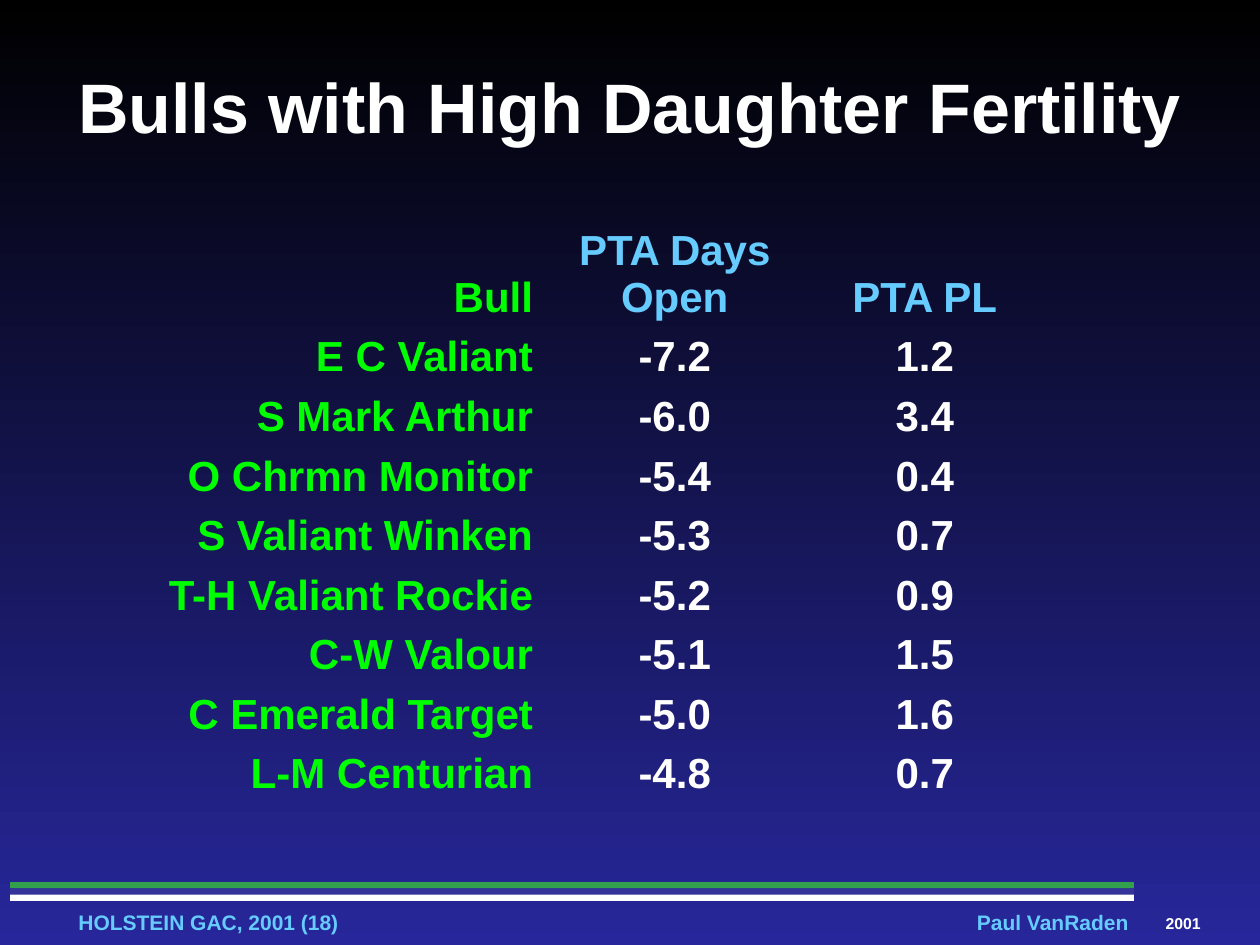
from dataclasses import dataclass

from pptx import Presentation
from pptx.dml.color import RGBColor
from pptx.enum.shapes import MSO_SHAPE
from pptx.enum.text import MSO_ANCHOR, PP_ALIGN
from pptx.util import Inches, Pt

RECTANGLE = MSO_SHAPE.RECTANGLE
MIDDLE, BOTTOM = MSO_ANCHOR.MIDDLE, MSO_ANCHOR.BOTTOM
CENTER, RIGHT = PP_ALIGN.CENTER, PP_ALIGN.RIGHT
PLAIN_TABLE_STYLE = "{2D5ABB26-0587-4C30-8999-92F81FD0307C}"


@dataclass(frozen=True)
class Theme:
    font: str = "Arial"
    sky_top: str = "000000"
    sky_bottom: str = "27279B"
    text: str = "FFFFFF"
    heading: str = "66CCFF"
    bull: str = "00FF00"
    stripes: tuple = ("32A04C", "333399", "FFFFFF")
    title_size: int = 40
    table_size: int = 24
    table_line: float = 26.8
    footer_size: int = 12
    year_size: int = 9


THEME = Theme()
WIDTH, HEIGHT = Inches(10), Inches(7.5)
COLUMN_WIDTHS = (3.28, 2.15, 1.82)
HEADER_HEIGHT, ROW_HEIGHT = 0.85, 0.45
STRIPE_TOP, STRIPE_HEIGHT = 7, 0.05
HEADINGS = ("Bull", "PTA Days Open", "PTA PL")
BULLS = (
    ("E C Valiant", "-7.2", "1.2"),
    ("S Mark Arthur", "-6.0", "3.4"),
    ("O Chrmn Monitor", "-5.4", "0.4"),
    ("S Valiant Winken", "-5.3", "0.7"),
    ("T-H Valiant Rockie", "-5.2", "0.9"),
    ("C-W Valour", "-5.1", "1.5"),
    ("C Emerald Target", "-5.0", "1.6"),
    ("L-M Centurian", "-4.8", "0.7"),
)


def write_text(text_frame, text, *, size, color, align=CENTER, line=None):
    paragraph = text_frame.paragraphs[0]
    paragraph.alignment = align
    if line:
        paragraph.line_spacing = Pt(line)
    run = paragraph.add_run()
    run.text = text
    run.font.name = THEME.font
    run.font.size = Pt(size)
    run.font.bold = True
    run.font.color.rgb = RGBColor.from_string(color)


def set_margins(target, horizontal, vertical):
    target.margin_left = target.margin_right = Inches(horizontal)
    target.margin_top = target.margin_bottom = Inches(vertical)


def paint_background(slide):
    fill = slide.background.fill
    fill.gradient()
    fill.gradient_angle = 270
    for stop, color in zip(fill.gradient_stops, (THEME.sky_top, THEME.sky_bottom)):
        stop.color.rgb = RGBColor.from_string(color)


def add_label(slide, box, text, *, margins=(0, 0), wrap=False, **text_format):
    shape = slide.shapes.add_textbox(*map(Inches, box))
    text_frame = shape.text_frame
    text_frame.word_wrap = wrap
    text_frame.vertical_anchor = MIDDLE
    set_margins(text_frame, *margins)
    write_text(text_frame, text, **text_format)


def add_stripes(slide):
    for index, color in enumerate(THEME.stripes):
        top = STRIPE_TOP + index * STRIPE_HEIGHT
        box = (0.08, top, 8.92, STRIPE_HEIGHT)
        shape = slide.shapes.add_shape(RECTANGLE, *map(Inches, box))
        shape.shadow.inherit = False
        shape.fill.solid()
        shape.fill.fore_color.rgb = RGBColor.from_string(color)
        shape.line.fill.background()


def add_bull_table(slide):
    rows = (HEADINGS, *BULLS)
    box = (1, 1.75, sum(COLUMN_WIDTHS), HEADER_HEIGHT + ROW_HEIGHT * len(BULLS))
    frame = slide.shapes.add_table(len(rows), len(HEADINGS), *map(Inches, box))
    table = frame.table
    table.first_row = table.horz_banding = False
    table._tbl.tblPr[0].text = PLAIN_TABLE_STYLE
    for column, width in zip(table.columns, COLUMN_WIDTHS):
        column.width = Inches(width)
    for row_index, values in enumerate(rows):
        is_header = row_index == 0
        table.rows[row_index].height = Inches(HEADER_HEIGHT if is_header else ROW_HEIGHT)
        value_color = THEME.heading if is_header else THEME.text
        for column_index, value in enumerate(values):
            is_name = column_index == 0
            cell = table.cell(row_index, column_index)
            cell.fill.background()
            cell.vertical_anchor = BOTTOM
            set_margins(cell, 0.05, 0.05)
            write_text(
                cell.text_frame,
                value,
                size=THEME.table_size,
                color=THEME.bull if is_name else value_color,
                align=RIGHT if is_name else CENTER,
                line=THEME.table_line,
            )


def add_footer(slide):
    add_stripes(slide)
    footer_format = {"size": THEME.footer_size, "color": THEME.heading}
    add_label(slide, (0.31, 7.22, 2.69, 0.2), "HOLSTEIN GAC, 2001 (18)", **footer_format)
    add_label(slide, (7.75, 7.22, 1.21, 0.2), "Paul VanRaden", **footer_format)
    add_label(slide, (9.25, 7.25, 0.28, 0.15), "2001", size=THEME.year_size, color=THEME.text)


def main():
    presentation = Presentation()
    presentation.slide_width, presentation.slide_height = WIDTH, HEIGHT
    slide = presentation.slides.add_slide(presentation.slide_layouts[6])
    paint_background(slide)
    add_footer(slide)
    add_label(
        slide,
        (0.5, 0.25, 9, 1.17),
        "Bulls with High Daughter Fertility",
        margins=(0.1, 0.05),
        wrap=True,
        size=THEME.title_size,
        color=THEME.text,
    )
    add_bull_table(slide)
    presentation.save("out.pptx")


if __name__ == "__main__":
    main()
